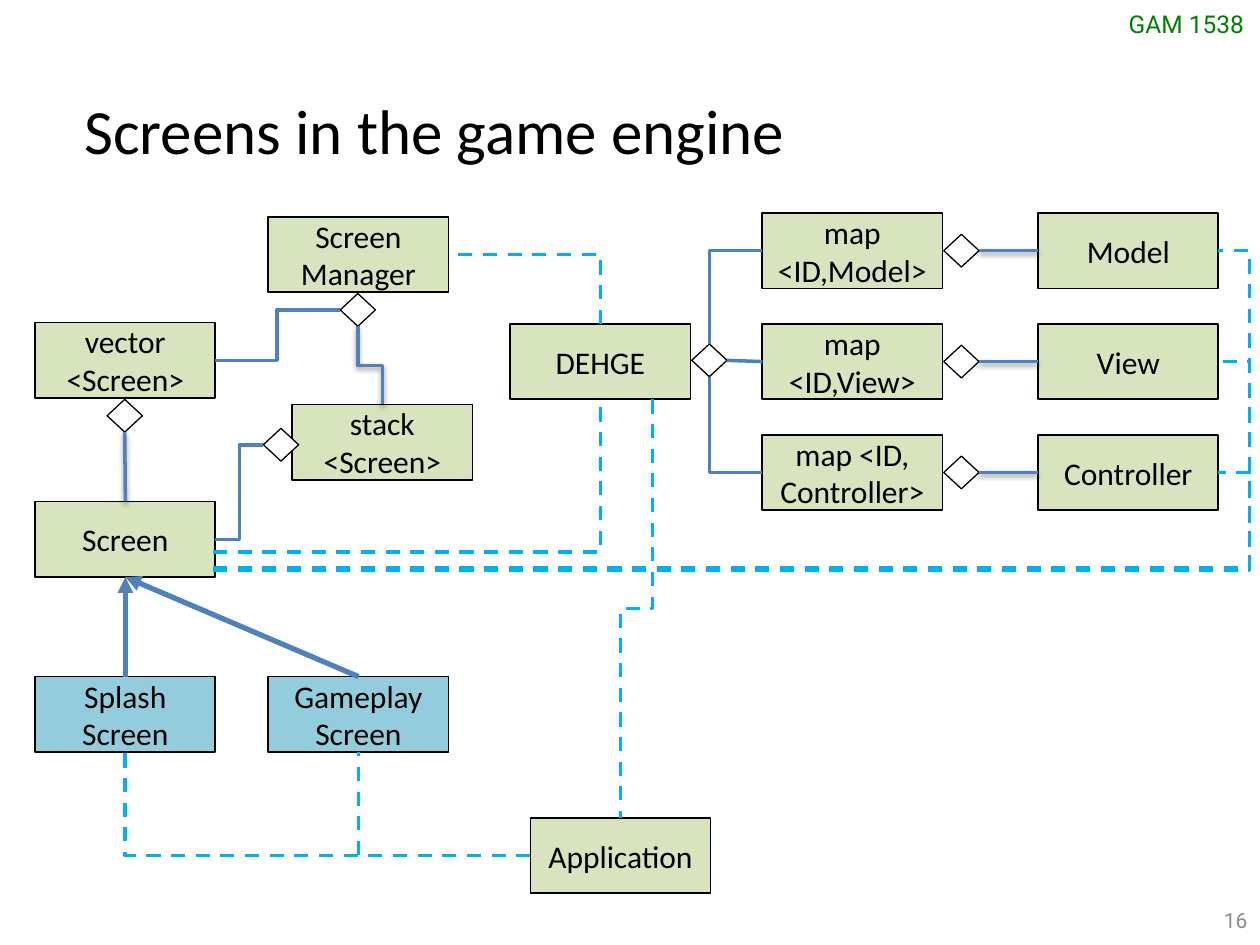
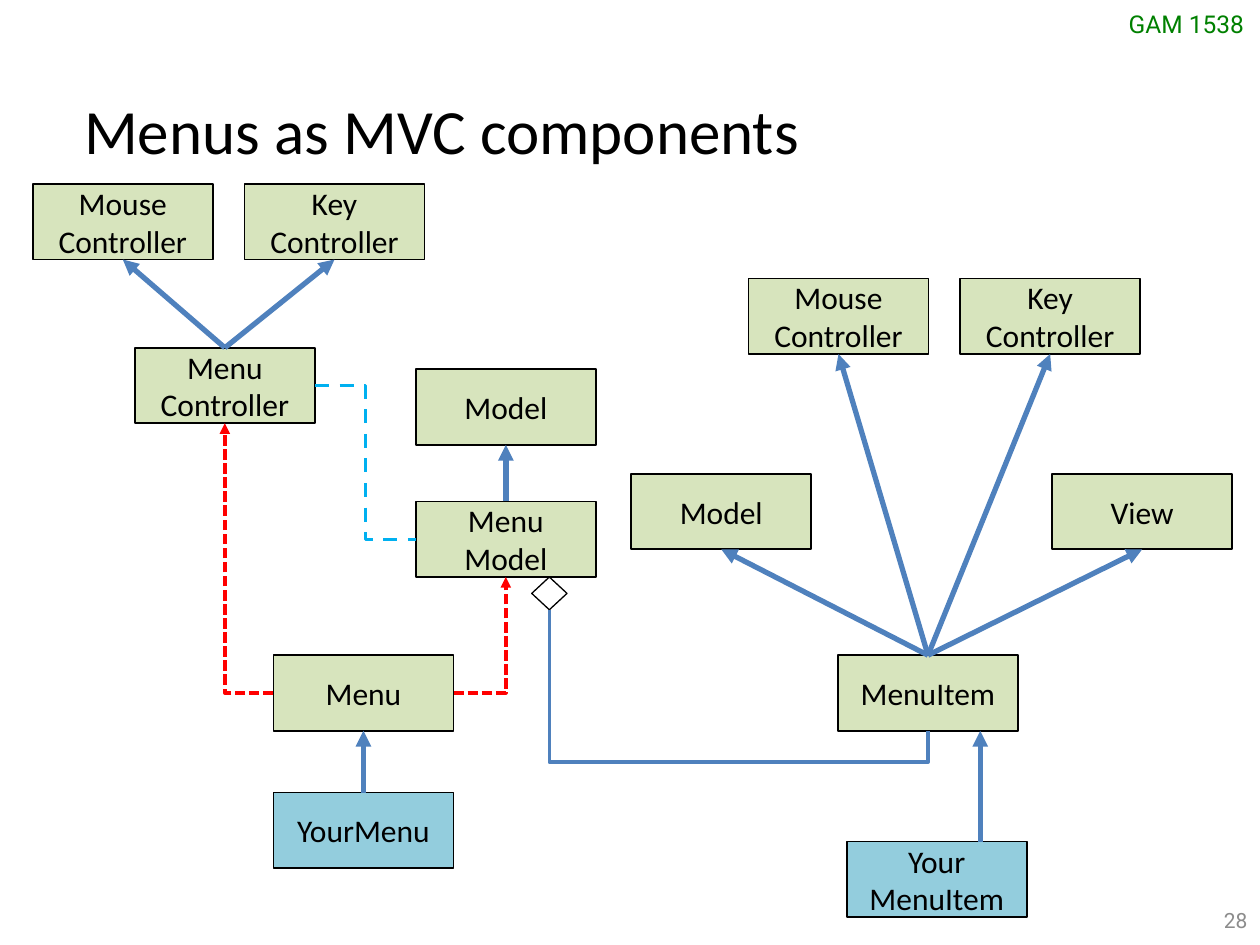
"""Build two class diagram slides about screens and menus."""
from lxml.etree import SubElement
from pptx import Presentation
from pptx.dml.color import RGBColor
from pptx.enum.dml import MSO_LINE
from pptx.enum.shapes import MSO_CONNECTOR, MSO_SHAPE
from pptx.enum.text import MSO_ANCHOR, MSO_AUTO_SIZE, PP_ALIGN
from pptx.oxml.ns import qn
from pptx.util import Inches, Pt

HUES = {
    "ink": "000000", "paper": "FFFFFF", "base": "D7E4BD", "own": "93CDDD",
    "blue": "4F81BD", "cyan": "00B0F0", "red": "FF0000",
    "tag": "008000", "grey": "8C8C8C",
}
FONTS = {
    "title": {"name": "Calibri", "size": Pt(36)},
    "node": {"name": "Calibri", "size": Pt(18)},
    "tag": {"name": "Roboto", "size": Pt(14)},
    "page": {"name": "Roboto", "size": Pt(12)},
}
LINES = {
    "is": ("blue", {"width": Pt(3)}),
    "has": ("blue", {"width": Pt(2)}),
    "uses": ("cyan", {"width": Pt(2), "dash_style": MSO_LINE.DASH}),
    "joins": ("red", {"width": Pt(2), "dash_style": MSO_LINE.SQUARE_DOT}),
}
SIDES = {"t": (0.5, 0), "b": (0.5, 1), "l": (0, 0.5), "r": (1, 0.5)}
WIDE, HIGH = 1.43, 0.6


def hue(name):
    """Return a named colour."""
    return RGBColor.from_string(HUES[name])


def apply(item, values):
    """Set each format value on an item."""
    for key, value in values.items():
        setattr(item, key, value)


def write(frame, text, font, tint="ink", align=PP_ALIGN.LEFT):
    """Fill a text frame, one paragraph per line of text."""
    frame.text = text
    for para in frame.paragraphs:
        para.alignment = align
        apply(para.font, FONTS[font])
        para.font.color.rgb = hue(tint)


def label(slide, area, text, font, tint="ink", align=PP_ALIGN.LEFT, **form):
    """Add a text box with its frame format."""
    frame = slide.shapes.add_textbox(*map(Inches, area)).text_frame
    write(frame, text, font, tint, align)
    apply(frame, {"word_wrap": True, **form})


def start(deck, title, page):
    """Add a slide with the shared tag, page number and title."""
    slide = deck.slides.add_slide(deck.slide_layouts[6])
    grow = MSO_AUTO_SIZE.SHAPE_TO_FIT_TEXT
    label(slide, (8.86, 0.02, 1.14, 0.34), "GAM 1538", "tag", "tag",
          word_wrap=False, auto_size=grow)
    label(slide, (7.67, 7.1, 2.33, 0.4), page, "page", "grey",
          PP_ALIGN.RIGHT, vertical_anchor=MSO_ANCHOR.MIDDLE)
    label(slide, (0.57, 0.68, 8.87, 0.71), title, "title", auto_size=grow)
    return slide


def shape(slide, kind, area, fill, width):
    """Add a filled and outlined preset shape."""
    item = slide.shapes.add_shape(kind, *map(Inches, area))
    item.shadow.inherit = False
    item.fill.solid()
    item.fill.fore_color.rgb = hue(fill)
    item.line.color.rgb = hue("ink")
    item.line.width = Pt(width)
    return item


def node(slide, x, y, text, fill="base"):
    """Add a class box."""
    item = shape(slide, MSO_SHAPE.RECTANGLE, (x, y, WIDE, HIGH), fill, 1)
    write(item.text_frame, text, "node", align=PP_ALIGN.CENTER)
    apply(item.text_frame,
          {"word_wrap": True, "vertical_anchor": MSO_ANCHOR.MIDDLE})
    return item


def gem(slide, x, y):
    """Add an aggregation diamond."""
    return shape(slide, MSO_SHAPE.DIAMOND, (x, y, 0.28, 0.26), "paper", 0.75)


def spot(item, side):
    """Return the middle of one side of a shape in inches."""
    across, down = SIDES[side]
    return ((item.left + across * item.width) / Inches(1),
            (item.top + down * item.height) / Inches(1))


def link(slide, kind, head, tail, style, arrow=False, shade=False):
    """Add a styled connector."""
    item = slide.shapes.add_connector(kind, *map(Inches, head + tail))
    tint, form = LINES[style]
    item.line.color.rgb = hue(tint)
    apply(item.line, form)
    props = item.element.spPr
    if arrow:
        SubElement(props.find(qn("a:ln")), qn("a:tailEnd"), type="triangle")
    glow = SubElement(props, qn("a:effectLst"))
    if shade:
        cast = SubElement(glow, qn("a:outerShdw"), blurRad="40000",
                          dist="20000", dir="5400000", rotWithShape="0")
        tone = SubElement(cast, qn("a:srgbClr"), val=HUES["ink"])
        SubElement(tone, qn("a:alpha"), val="38000")
    return item


def ray(slide, head, tail, style="is", **form):
    """Add a straight connector."""
    link(slide, MSO_CONNECTOR.STRAIGHT, head, tail, style, **form)


def bend(slide, head, tail, style, way="h", turn=None, **form):
    """Add an elbow that sets out along way, with one corner or a turn."""
    axis = 0 if way == "h" else 1
    ends = head, tail
    if axis:
        mid = [(a + b) / 2 for a, b in zip(head, tail)]
        half = [(b - a) / 2 for a, b in zip(head, tail)]
        ends = ((mid[0] - half[1], mid[1] + half[0]),
                (mid[0] + half[1], mid[1] - half[0]))
    item = link(slide, MSO_CONNECTOR.ELBOW, *ends, style, **form)
    props = item.element.spPr
    if axis:
        props.find(qn("a:xfrm")).set("rot", "5400000")
    geom = props.find(qn("a:prstGeom"))
    if turn is None:
        geom.set("prst", "bentConnector2")
        return
    part = (turn - head[axis]) / (tail[axis] - head[axis])
    guides = geom.find(qn("a:avLst"))
    if guides is None:
        guides = SubElement(geom, qn("a:avLst"))
    SubElement(guides, qn("a:gd"), name="adj1",
               fmla=f"val {round(part * 100000)}")


def screens(deck):
    """Draw the screen classes of the engine."""
    slide = start(deck, "Screens in the game engine", "16")
    vector = node(slide, 0.28, 2.56, "vector\n<Screen>")
    boss = node(slide, 2.13, 1.72, "Screen Manager")
    engine = node(slide, 4.05, 2.57, "DEHGE")
    screen = node(slide, 0.28, 3.98, "Screen")
    stack = node(slide, 2.32, 3.21, "stack\n<Screen>")
    app = node(slide, 4.21, 6.49, "Application")
    splash = node(slide, 0.28, 5.37, "Splash\nScreen", "own")
    play = node(slide, 2.13, 5.37, "Gameplay\nScreen", "own")
    hub = gem(slide, 5.49, 2.73)
    crown = gem(slide, 2.7, 2.33)
    hook = gem(slide, 2.09, 3.4)
    drop = gem(slide, 0.85, 3.17)

    rows = [("Model", "map\n<ID,Model>", "t"), ("View", "map\n<ID,View>", "r"),
            ("Controller", "map <ID,\nController>", "b")]
    for step, (name, text, side) in enumerate(rows):
        y = 1.69 + 0.88 * step
        store = node(slide, 6.05, y, text)
        part = node(slide, 8.24, y, name)
        knot = gem(slide, 7.49, y + 0.17)
        ray(slide, spot(knot, "r"), spot(part, "l"), "has", shade=True)
        if side == "r":
            ray(slide, spot(hub, side), spot(store, "l"), "has")
        else:
            bend(slide, spot(hub, side), spot(store, "l"), "has", "v")
        bend(slide, (1.69, 4.51 + 0.01 * step), spot(part, "r"), "uses",
             turn=9.92)

    for child in (splash, play):
        ray(slide, spot(child, "t"), spot(screen, "b"), arrow=True)
        bend(slide, spot(app, "l"), spot(child, "b"), "uses")
    bend(slide, spot(crown, "l"), spot(vector, "r"), "has", turn=2.2)
    bend(slide, spot(hook, "l"), spot(screen, "r"), "has", turn=1.9)
    ray(slide, spot(drop, "b"), spot(screen, "t"), "has", shade=True)
    bend(slide, spot(crown, "b"), spot(stack, "t"), "has", "v", 2.9,
         shade=True)
    bend(slide, spot(engine, "t"), spot(boss, "r"), "uses", "v")
    bend(slide, (1.69, 4.38), spot(engine, "b"), "uses")
    bend(slide, (5.18, 3.17), spot(app, "t"), "uses", "v", 4.83)


def menus(deck):
    """Draw the menu classes as model, view and controller."""
    slide = start(deck, "Menus as MVC components", "28")
    menu = node(slide, 2.17, 5.2, "Menu")
    item = node(slide, 6.65, 5.2, "MenuItem")
    model = node(slide, 3.3, 3.98, "Menu\nModel")
    control = node(slide, 1.07, 2.76, "Menu\nController")
    base = node(slide, 3.3, 2.93, "Model")
    yours = node(slide, 2.17, 6.29, "YourMenu", "own")
    node(slide, 6.72, 6.68, "Your\nMenuItem", "own")
    knot = gem(slide, 4.22, 4.58)

    pairs = [(model, base), (yours, menu)]
    for x, y, child in ((0.26, 1.46, control), (5.94, 2.21, item)):
        for step, name in enumerate(("Mouse", "Key")):
            part = node(slide, x + 1.68 * step, y, f"{name}\nController")
            pairs.append((child, part))
    for x, name in ((5.01, "Model"), (8.35, "View")):
        pairs.append((item, node(slide, x, 3.76, name)))
    for child, part in pairs:
        ray(slide, spot(child, "t"), spot(part, "b"), arrow=True)
    ray(slide, (7.78, 6.68), (7.78, 5.8), arrow=True)

    bend(slide, spot(knot, "b"), spot(item, "b"), "has", "v", 6.05)
    bend(slide, spot(control, "r"), spot(model, "l"), "uses", turn=2.9)
    bend(slide, spot(menu, "l"), spot(control, "b"), "joins", arrow=True)
    bend(slide, spot(menu, "r"), spot(model, "b"), "joins", arrow=True)


def main():
    """Build and save the deck."""
    deck = Presentation()
    apply(deck, {"slide_width": Inches(10), "slide_height": Inches(7.5)})
    screens(deck)
    menus(deck)
    deck.save("out.pptx")


main()
